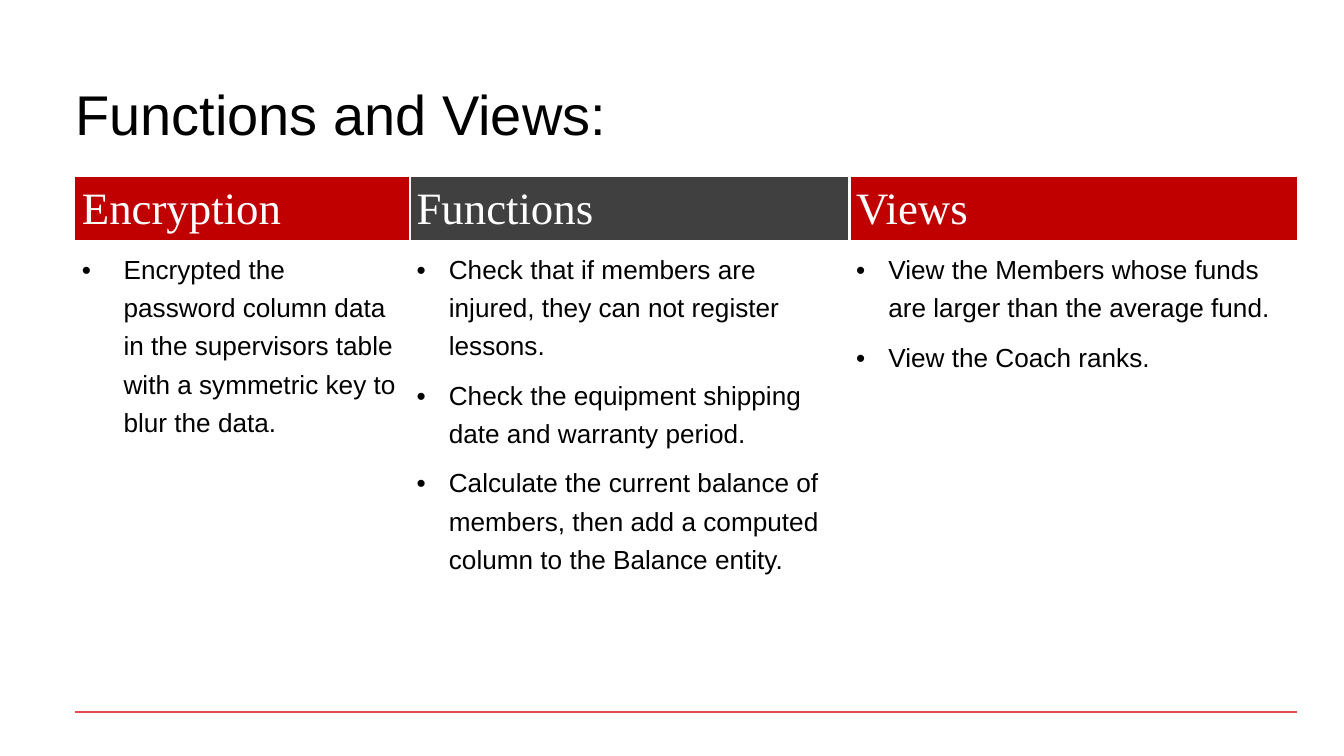
import pptx
import pptx.util
import pptx.dml.color
import pptx.enum.text
import pptx.oxml
import pptx.oxml.ns
from lxml import etree

Pt, Inch = pptx.util.Pt, pptx.util.Inches
RGB = pptx.dml.color.RGBColor
BLACK, WHITE = RGB(0, 0, 0), RGB(255, 255, 255)
RED, GRAY, ROSE = RGB(0xC0, 0, 0), RGB(0x40, 0x40, 0x40), RGB(0xE3, 0x4D, 0x4D)

# Content: head, fill, width, indent, space before first item, items
TITLE = "Functions and Views:"
COLS = [
    ("Encryption", RED, 2.49, 0.31, 6, [
        "Encrypted\u00a0the password column data in the supervisors table "
        "with a symmetric key to blur the data."]),
    ("Functions", GRAY, 3.27, 0.24, 0, [
        "Check that if members are injured, they can not register lessons.",
        "Check the equipment shipping date and warranty period.",
        "Calculate the current balance of members, then add a computed "
        "column to the Balance entity."]),
    ("Views", RED, 3.33, 0.24, 0, [
        "View the Members whose funds are larger than the average fund.",
        "View the Coach ranks."]),
]
ROWS = [0.41, 3.51]
WIDE = 10
HIGH = WIDE * 9 / 16
PLAIN = "{2D5ABB26-0587-4C30-8999-92F81FD0307C}"  # table style without lines


def write(para, text, size=14, font="Arial", color=BLACK, line=None, before=None):
    run = para.add_run()
    run.text = text
    run.font.size, run.font.name = Pt(size), font
    run.font.color.rgb = color
    if line:
        para.line_spacing = line
    if before is not None:
        para.space_before = Pt(before)


def bullet(para, indent):
    props = para._p.get_or_add_pPr()
    props.set("marL", str(Inch(indent)))
    props.set("indent", str(-Inch(indent)))
    tint = etree.SubElement(props, pptx.oxml.ns.qn("a:buClr"))
    etree.SubElement(tint, pptx.oxml.ns.qn("a:srgbClr"), val=str(BLACK))
    etree.SubElement(props, pptx.oxml.ns.qn("a:buFont"), typeface="Arial")
    etree.SubElement(props, pptx.oxml.ns.qn("a:buChar"), char="•")


def dress(cell, fill, sides):
    cell.margin_left = cell.margin_right = Inch(0.05)
    cell.margin_top = cell.margin_bottom = Inch(0.05)
    cell.fill.solid()
    cell.fill.fore_color.rgb = fill
    props = cell._tc.get_or_add_tcPr()
    for spot, (side, color) in enumerate(sides):  # lines come before the fill
        props.insert(spot, pptx.oxml.parse_xml(
            f'<a:ln{side} {pptx.oxml.ns.nsdecls("a")} w="{Pt(1.5)}"><a:solidFill>'
            f'<a:srgbClr val="{color}"/></a:solidFill></a:ln{side}>'))


deck = pptx.Presentation()
deck.slide_width, deck.slide_height = Inch(WIDE), Inch(HIGH)
slide = deck.slides.add_slide(deck.slide_layouts[5])

# Title
title = slide.shapes.title
title.left, title.top, title.width, title.height = map(Inch, (0.5, 0.39, 9, 1.02))
frame = title.text_frame
frame.word_wrap = True
frame.auto_size = pptx.enum.text.MSO_AUTO_SIZE.NONE
frame.vertical_anchor = pptx.enum.text.MSO_ANCHOR.MIDDLE
frame.margin_left = frame.margin_right = Inch(0.06)
frame.margin_top, frame.margin_bottom = Inch(0.03), Inch(0.09)
frame.paragraphs[0].alignment = pptx.enum.text.PP_ALIGN.LEFT
write(frame.paragraphs[0], TITLE, size=30, line=0.9)

# Table
total = sum(col[2] for col in COLS)
grid = slide.shapes.add_table(len(ROWS), len(COLS), Inch(0.56), Inch(1.32),
                              Inch(total), Inch(sum(ROWS))).table
grid.first_row = grid.horz_banding = False
grid._tbl.tblPr.find(pptx.oxml.ns.qn("a:tableStyleId")).text = PLAIN
for row, high in zip(grid.rows, ROWS):
    row.height = Inch(high)

for n, (head, fill, width, indent, lead, items) in enumerate(COLS):
    grid.columns[n].width = Inch(width)
    sides = [("L", WHITE)] if n else []
    if n < len(COLS) - 1:
        sides.append(("R", WHITE))

    # Header cell
    top = grid.cell(0, n)
    dress(top, fill, sides)
    write(top.text_frame.paragraphs[0], head, size=24,
          font="Times New Roman", color=WHITE)

    # Bulleted cell
    body = grid.cell(1, n)
    dress(body, WHITE, sides + [("B", ROSE)])
    for i, item in enumerate(items):
        frame = body.text_frame
        para = frame.add_paragraph() if i else frame.paragraphs[0]
        write(para, item, line=1.3, before=6 if i else lead)
        bullet(para, indent)

deck.save("out.pptx")
